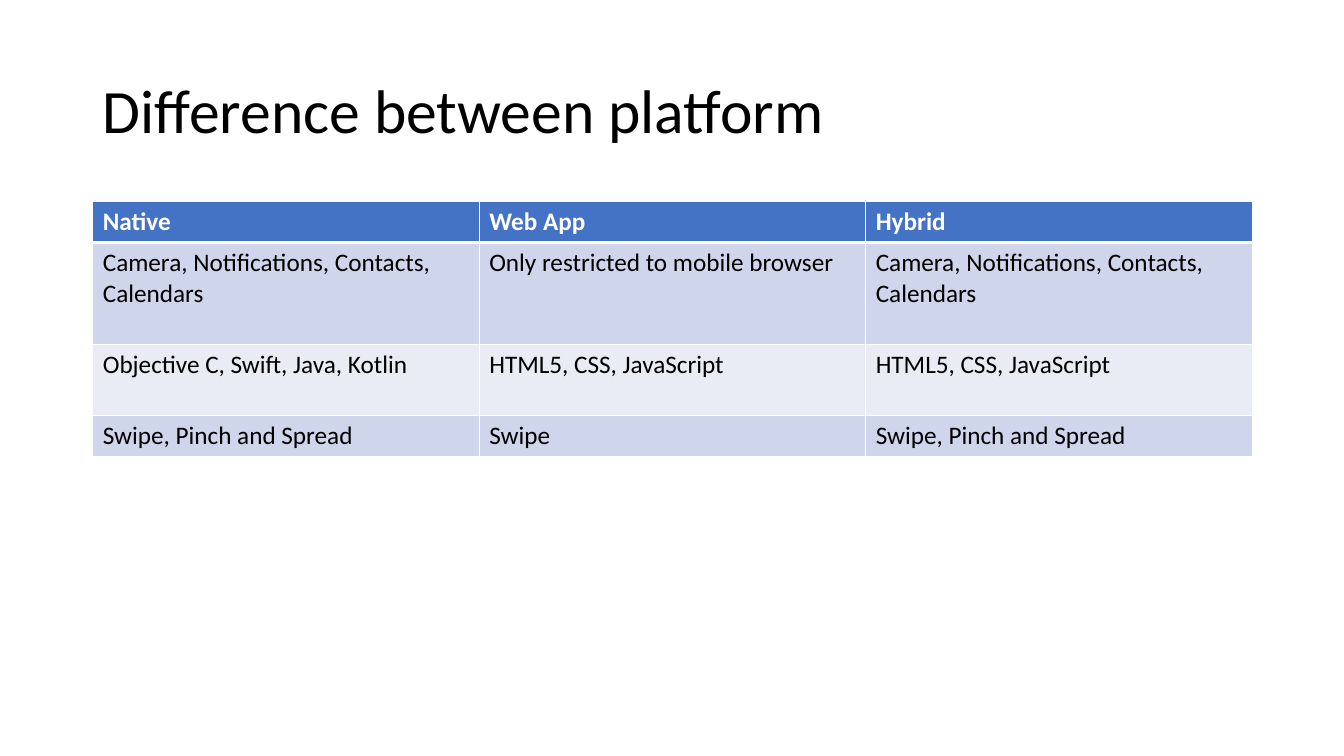
import dataclasses
from typing import Any

import lxml.etree
import pptx
import pptx.dml.color
import pptx.enum.text
import pptx.oxml.ns
import pptx.util

Inches = pptx.util.Inches
FONT = "Calibri"
BLACK, WHITE, BLUE = "000000", "FFFFFF", "4472C4"
BAND_DARK, BAND_LIGHT = "CFD5EA", "E9EBF5"
THIN, THICK = 1, 3


@dataclasses.dataclass(frozen=True)
class PlatformRow:
    """One table row: its texts, height in inches and look."""
    texts: tuple[str, str, str]
    height: float
    fill: str
    color: str = BLACK
    bold: bool = False
    top: int = THIN
    bottom: int = THIN


ROWS = (
    PlatformRow(("Native", "Web App", "Hybrid"), 0.4, BLUE, WHITE, True, bottom=THICK),
    PlatformRow(("Camera, Notifications, Contacts, Calendars",
                 "Only restricted to mobile browser",
                 "Camera, Notifications, Contacts, Calendars"), 1.01, BAND_DARK, top=THICK),
    PlatformRow(("Objective C, Swift, Java, Kotlin",
                 "HTML5, CSS, JavaScript",
                 "HTML5, CSS, JavaScript"), 0.71, BAND_LIGHT),
    PlatformRow(("Swipe, Pinch and Spread", "Swipe", "Swipe, Pinch and Spread"), 0.4, BAND_DARK),
)


def rgb(value: str) -> pptx.dml.color.RGBColor:
    """Turn a hex string into a colour."""
    return pptx.dml.color.RGBColor.from_string(value)


def apply(obj: Any, values: dict[str, Any]) -> None:
    """Set each named attribute of an object."""
    for name, value in values.items():
        setattr(obj, name, value)


def write(tf: Any, text: str, size: int, color: str, bold: bool = False) -> Any:
    """Put one formatted run in a text frame and return its paragraph."""
    p = tf.paragraphs[0]
    r = p.add_run()
    r.text = text
    apply(r.font, {"name": FONT, "size": pptx.util.Pt(size), "bold": bold})
    r.font.color.rgb = rgb(color)
    return p


def set_borders(cell: Any, widths: dict[str, int]) -> None:
    """Give a cell white borders of the given widths in points."""
    qn = pptx.oxml.ns.qn
    pr = cell._tc.get_or_add_tcPr()
    for i, (side, width) in enumerate(widths.items()):
        ln = lxml.etree.Element(qn(f"a:ln{side}"), w=str(pptx.util.Pt(width)))
        fill = lxml.etree.SubElement(ln, qn("a:solidFill"))
        lxml.etree.SubElement(fill, qn("a:srgbClr"), val=WHITE)
        pr.insert(i, ln)


def add_title(s: Any, text: str) -> None:
    """Fill and place the title placeholder."""
    sp = s.shapes.title
    apply(sp, {"left": Inches(0.92), "top": Inches(0.4),
               "width": Inches(11.5), "height": Inches(1.45)})
    sp.text_frame.vertical_anchor = pptx.enum.text.MSO_ANCHOR.MIDDLE
    p = write(sp.text_frame, text, 44, BLACK)
    apply(p, {"alignment": pptx.enum.text.PP_ALIGN.LEFT, "line_spacing": 0.9})


def add_platform_table(s: Any, rows: tuple[PlatformRow, ...]) -> None:
    """Draw the comparison table with equal columns."""
    height = sum(row.height for row in rows)
    table = s.shapes.add_table(len(rows), len(rows[0].texts), Inches(0.92), Inches(2),
                               Inches(11.5), Inches(height)).table
    for i, row in enumerate(rows):
        table.rows[i].height = Inches(row.height)
        for j, text in enumerate(row.texts):
            cell = table.cell(i, j)
            cell.fill.solid()
            cell.fill.fore_color.rgb = rgb(row.fill)
            set_borders(cell, {"L": THIN, "R": THIN, "T": row.top, "B": row.bottom})
            write(cell.text_frame, text, 18, row.color, row.bold)


prs = pptx.Presentation()
apply(prs, {"slide_width": Inches(13.33), "slide_height": Inches(7.5)})
s = prs.slides.add_slide(prs.slide_layouts.get_by_name("Title Only"))
add_title(s, "Difference between platform")
add_platform_table(s, ROWS)
prs.save("out.pptx")
